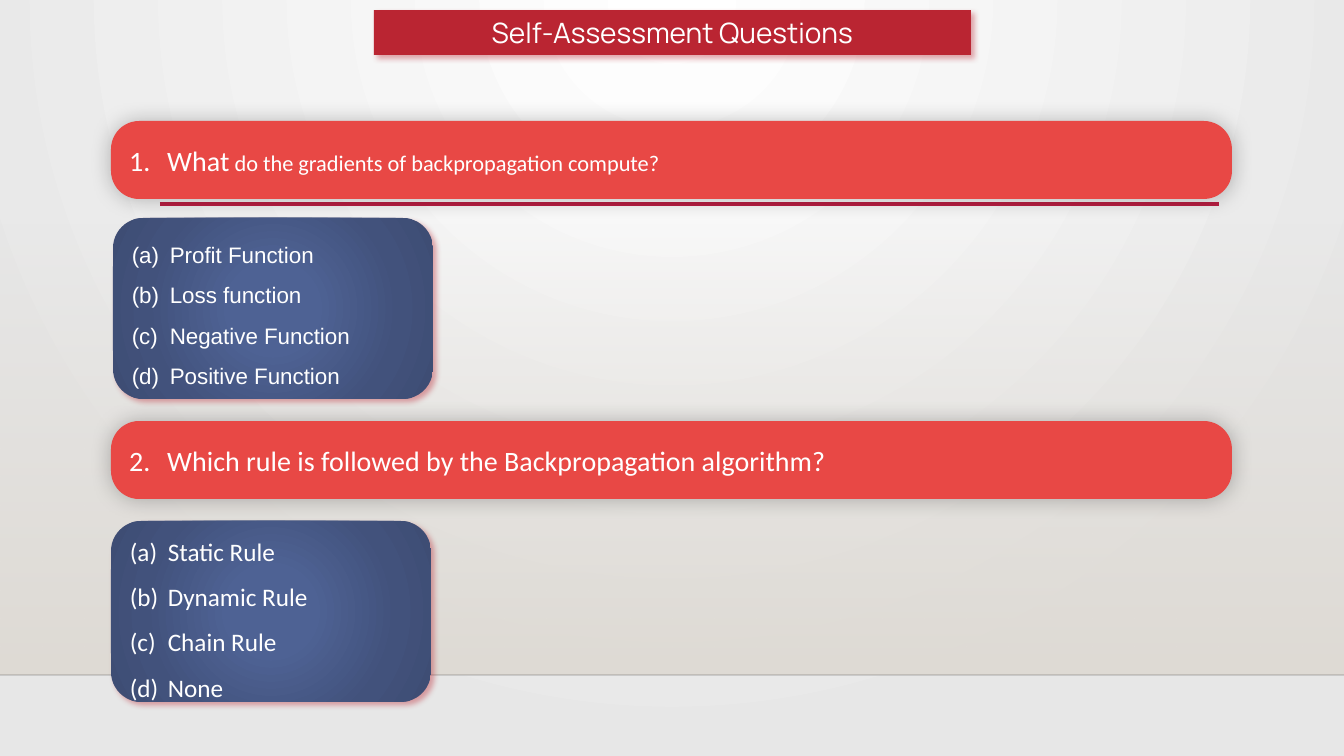
"""Build the self-assessment slide with two questions and their answer lists."""
from dataclasses import dataclass
from typing import Any, NamedTuple

from lxml.etree import SubElement as Sub
from pptx import Presentation
from pptx.dml.color import RGBColor as Color
from pptx.enum.shapes import MSO_CONNECTOR as Link, MSO_SHAPE as Form
from pptx.enum.text import MSO_ANCHOR as Anchor, MSO_AUTO_SIZE as Fit, PP_ALIGN as Align
from pptx.oxml import parse_xml
from pptx.oxml.ns import nsdecls, qn
from pptx.util import Emu, Pt


class Stop(NamedTuple):
    at: int
    color: str
    alpha: int = 100


class Shade(NamedTuple):
    color: str
    alpha: int
    blur: int
    dist: int
    angle: int


class Box(NamedTuple):
    x: int
    y: int
    w: int
    h: int


class Run(NamedTuple):
    text: str
    size: int


class Quiz(NamedTuple):
    ask: list[Run]
    bar: Box
    card: Box
    font: str
    size: int
    picks: list[str]


class Rule(NamedTuple):
    x1: int
    x2: int
    y: int
    color: str
    width: float
    alpha: int


@dataclass(frozen=True)
class Theme:
    ink: str = "FFFFFF"
    red: str = "BA2532"
    coral: str = "E84845"
    wine: str = "B71E42"
    dark: str = "000001"
    head: str = "Manrope"
    body: str = "Calibri"
    plain: str = "Arial"
    large: int = 20
    mid: int = 18
    small: int = 16
    sky: tuple = (Stop(0, "FFFFFF"), Stop(100, "E7E7E7"))
    wall: tuple = (Stop(0, "DFDBD5", 0), Stop(100, "DFDBD5"))
    blue: tuple = (Stop(0, "4E6294"), Stop(23, "4E6294"),
                   Stop(69, "42527C"), Stop(97, "3E4D74"))
    drop: Shade = Shade("BA2532", 40, 4, 3, 45)
    halo: Shade = Shade("000000", 25, 15, 0, 0)


LOOK = Theme()
WIDE, HIGH = 1344, 756
SCALE = 12192000 / WIDE
STEP = 38
TITLE = Box(374, 10, 597, 45)
WALL = Box(0, 223, WIDE, 452)
RULES = [Rule(0, WIDE, 675, LOOK.dark, 1, 20),
         Rule(160, 1219, 204, LOOK.wine, 2.5, 100)]
QUIZ = [
    Quiz([Run("What", LOOK.large),
          Run(" do the gradients of backpropagation compute?", LOOK.small)],
         Box(111, 121, 1121, 78), Box(113, 218, 320, 181), LOOK.plain, LOOK.small,
         ["Profit Function", "Loss function", "Negative Function", "Positive Function"]),
    Quiz([Run("Which rule is followed by the Backpropagation algorithm?", LOOK.large)],
         Box(111, 421, 1121, 78), Box(111, 521, 320, 181), LOOK.body, LOOK.mid,
         ["Static Rule", "Dynamic Rule", "Chain Rule", "None"]),
]


def px(n: int) -> Emu:
    return Emu(round(n * SCALE))


def put(item: Any, form: dict[str, Any]) -> None:
    for name, value in form.items():
        setattr(item, name, value)


def blend(host: Any, stops: tuple, way: str) -> None:
    marks = "".join(
        f'<a:gs pos="{s.at * 1000}"><a:srgbClr val="{s.color}">'
        f'<a:alpha val="{s.alpha * 1000}"/></a:srgbClr></a:gs>' for s in stops)
    host.replace(host.find(qn("a:solidFill")), parse_xml(
        f'<a:gradFill {nsdecls("a")} rotWithShape="1"><a:gsLst>{marks}</a:gsLst>{way}</a:gradFill>'))


def ring(l: int, t: int, r: int, b: int) -> str:
    return (f'<a:path path="circle"><a:fillToRect l="{l * 1000}" t="{t * 1000}" '
            f'r="{r * 1000}" b="{b * 1000}"/></a:path>')


def paint(shape: Any, color: str, shade: Shade | None = None) -> None:
    shape.fill.solid()
    shape.fill.fore_color.rgb = Color.from_string(color)
    shape.line.fill.background()
    shape.shadow.inherit = False
    if shade:
        glow = shape.element.spPr.find(qn("a:effectLst"))
        cast = Sub(glow, qn("a:outerShdw"), blurRad=str(Pt(shade.blur)),
                   dist=str(Pt(shade.dist)), dir=str(shade.angle * 60000),
                   algn="ctr", rotWithShape="0")
        tint = Sub(cast, qn("a:srgbClr"), val=shade.color)
        Sub(tint, qn("a:alpha"), val=str(shade.alpha * 1000))


def place(holder: Any, box: Box) -> None:
    put(holder, dict(zip(("left", "top", "width", "height"), map(px, box))))
    holder.element.spPr.append(parse_xml(
        f'<a:prstGeom {nsdecls("a")} prst="roundRect"><a:avLst/></a:prstGeom>'))
    tree = holder.element.getparent()
    tree.append(holder.element)


def frame(shape: Any) -> Any:
    text = shape.text_frame
    put(text, {"word_wrap": True, "auto_size": Fit.NONE, "vertical_anchor": Anchor.MIDDLE,
               "margin_left": px(10), "margin_right": px(10),
               "margin_top": px(5), "margin_bottom": px(5)})
    return text


def write(para: Any, runs: list[Run], font: str, align: Align, space: float = 1.0) -> None:
    put(para, {"alignment": align, "line_spacing": space, "space_before": Pt(0)})
    for part in runs:
        run = para.add_run()
        run.text = part.text
        put(run.font, {"name": font, "size": Pt(part.size), "bold": False})
        run.font.color.rgb = Color.from_string(LOOK.ink)


def number(para: Any, kind: str, start: int = 1) -> None:
    prop = para._p.get_or_add_pPr()
    put_at = {"marL": px(STEP), "indent": -px(STEP)}
    for name, value in put_at.items():
        prop.set(name, str(value))
    Sub(prop, qn("a:buFont"), typeface="+mj-lt")
    Sub(prop, qn("a:buAutoNum"), type=kind, startAt=str(start))


def draw_rule(slide: Any, rule: Rule) -> None:
    line = slide.shapes.add_connector(Link.STRAIGHT, *map(px, (rule.x1, rule.y, rule.x2, rule.y)))
    line.line.width = Pt(rule.width)
    line.line.color.rgb = Color.from_string(rule.color)
    tint = line.element.spPr.find(".//" + qn("a:srgbClr"))
    Sub(tint, qn("a:alpha"), val=str(rule.alpha * 1000))
    Sub(line.element.spPr, qn("a:effectLst"))


def draw_quiz(slide: Any, quiz: Quiz, holder: Any, count: int) -> None:
    bar = slide.shapes.add_shape(Form.ROUNDED_RECTANGLE, *map(px, quiz.bar))
    bar.adjustments[0] = 0.36
    paint(bar, LOOK.coral, LOOK.halo)
    para = frame(bar).paragraphs[0]
    write(para, quiz.ask, LOOK.body, Align.LEFT)
    number(para, "arabicPeriod", count)

    place(holder, quiz.card)
    paint(holder, LOOK.blue[0].color, LOOK.drop)
    blend(holder.element.spPr, LOOK.blue, ring(50, 50, 50, 50))
    text = frame(holder)
    for i, pick in enumerate(quiz.picks):
        para = text.add_paragraph() if i else text.paragraphs[0]
        write(para, [Run(pick, quiz.size)], quiz.font, Align.LEFT, 1.5)
        number(para, "alphaLcParenBoth")


def main() -> None:
    deck = Presentation()
    put(deck, {"slide_width": px(WIDE), "slide_height": px(HIGH)})
    slide = deck.slides.add_slide(deck.slide_layouts[3])
    title, *cards = list(slide.placeholders)[:3]

    slide.background.fill.solid()
    blend(slide.element.find(".//" + qn("p:bgPr")), LOOK.sky, ring(43, 0, 43, 100))
    wall = slide.shapes.add_shape(Form.RECTANGLE, *map(px, WALL))
    paint(wall, LOOK.wall[0].color)
    blend(wall.element.spPr, LOOK.wall, '<a:lin ang="5400000" scaled="0"/>')
    for rule in RULES:
        draw_rule(slide, rule)

    place(title, TITLE)
    paint(title, LOOK.red, LOOK.drop)
    write(frame(title).paragraphs[0], [Run("Self-Assessment Questions", LOOK.large)],
          LOOK.head, Align.CENTER)
    for count, (quiz, card) in enumerate(zip(QUIZ, cards), 1):
        draw_quiz(slide, quiz, card, count)
    deck.save("out.pptx")


if __name__ == "__main__":
    main()
